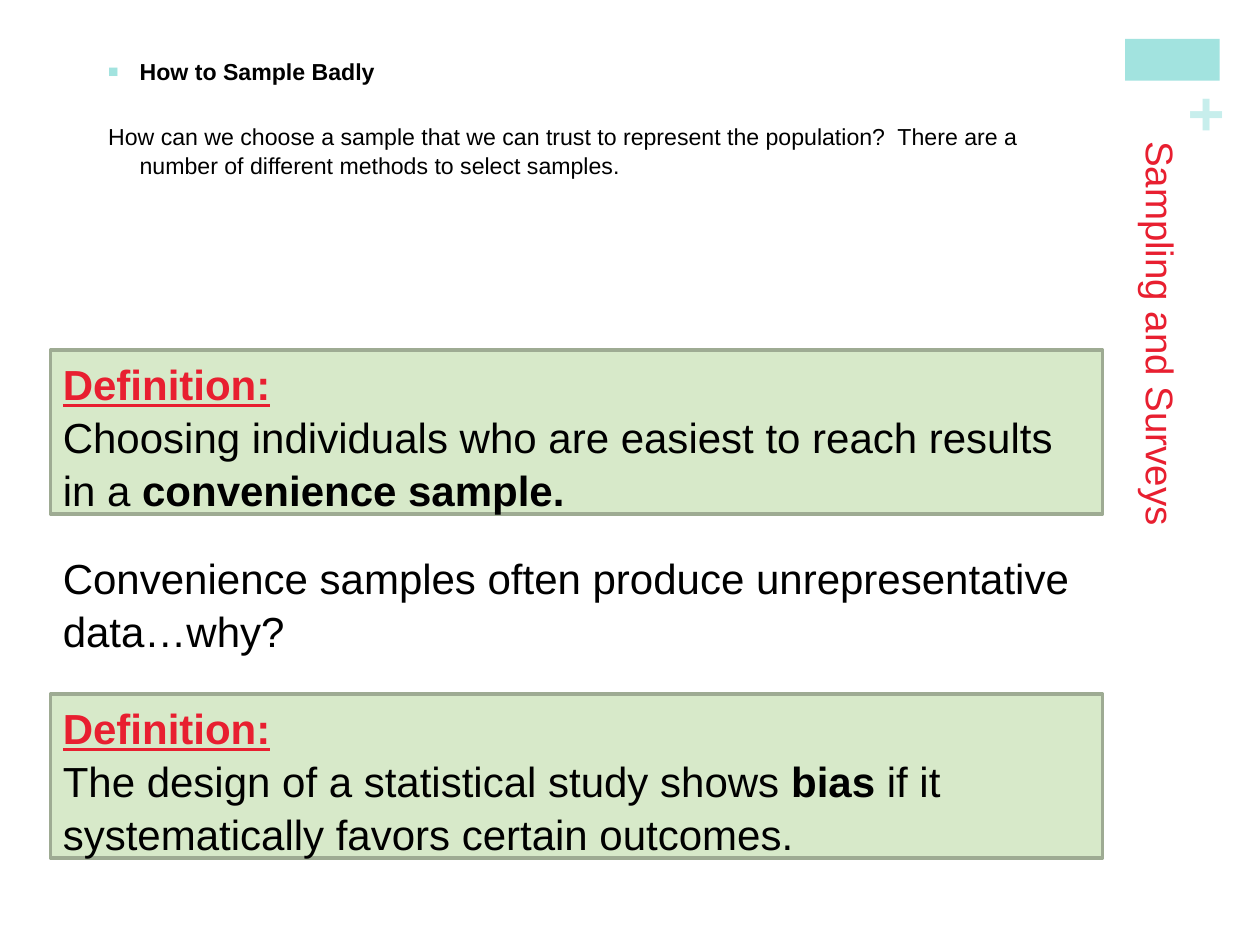
from pptx import Presentation
from pptx.dml.color import RGBColor
from pptx.enum.shapes import MSO_SHAPE
from pptx.enum.text import MSO_ANCHOR, PP_ALIGN
from pptx.oxml import parse_xml
from pptx.oxml.ns import nsdecls
from pptx.util import Inches, Pt

RECTANGLE = MSO_SHAPE.RECTANGLE
TOP = MSO_ANCHOR.TOP
LEFT, CENTER = PP_ALIGN.LEFT, PP_ALIGN.CENTER


class Theme:
    font = "Arial"
    accent, accent_light = "A2E3DF", "C7EEEC"
    red, black = "E81F30", "000000"
    panel, panel_line = "D7E9C9", "9EAB93"
    plus_size, statement_size, title_size, body_size = 36, 24, 22, 13.2
    line_spacing = 1.05


def rgb(color):
    return RGBColor.from_string(color)


def set_frame(shape, margins=(0.1, 0.05, 0.1, 0.05), wrap=True):
    """Prepare a text frame; margins are left, top, right, bottom in inches."""
    frame = shape.text_frame
    left, top, right, bottom = (Inches(margin) for margin in margins)
    settings = {"margin_left": left, "margin_top": top, "margin_right": right,
                "margin_bottom": bottom, "word_wrap": wrap,
                "vertical_anchor": TOP}
    for name, value in settings.items():
        setattr(frame, name, value)
    return frame


def add_text_box(slide, box, **frame_settings):
    shape = slide.shapes.add_textbox(*map(Inches, box))
    return shape, set_frame(shape, **frame_settings)


def add_rectangle(slide, box, fill, line=None):
    shape = slide.shapes.add_shape(RECTANGLE, *map(Inches, box))
    shape.shadow.inherit = False
    shape.fill.solid()
    shape.fill.fore_color.rgb = rgb(fill)
    if line:
        shape.line.color.rgb = rgb(line)
        shape.line.width = Pt(2)
    else:
        shape.line.fill.background()
    return shape


def write_runs(paragraph, runs, size, color=Theme.black, align=LEFT):
    """Write (text, font settings) pairs into one paragraph."""
    paragraph.alignment = align
    for text, settings in runs:
        run = paragraph.add_run()
        run.text = text
        run.font.color.rgb = rgb(color)
        values = {"name": Theme.font, "size": Pt(size), **settings}
        for name, value in values.items():
            setattr(run.font, name, value)


def set_hanging_indent(paragraph, bullet):
    properties = paragraph._p.get_or_add_pPr()
    properties.set("marL", str(Inches(0.25)))
    properties.set("indent", str(Inches(-0.25)))
    if bullet:
        for element in (
            f'<a:buClr {nsdecls("a")}><a:srgbClr val="{Theme.accent}"/></a:buClr>',
            f'<a:buSzPct {nsdecls("a")} val="75000"/>',
            f'<a:buFont {nsdecls("a")} typeface="{Theme.font}"/>',
            f'<a:buChar {nsdecls("a")} char="■"/>',
        ):
            properties.append(parse_xml(element))


def add_corner_mark(slide, box):
    """Accent block with a plus sign below its right end."""
    left, top, width, height = box
    add_rectangle(slide, box, Theme.accent)
    plus_box = (left + width - 0.28, top + height - 0.02, 0.28, 0.6)
    shape, frame = add_text_box(slide, plus_box, margins=(0, 0, 0, 0))
    shape.rotation = 270
    write_runs(frame.paragraphs[0], [("+", {"bold": True})],
               Theme.plus_size, Theme.accent_light)


def add_vertical_title(slide, box, text):
    shape, frame = add_text_box(slide, box, margins=(0.08,) * 4)
    frame._txBody.bodyPr.set("vert", "eaVert")
    write_runs(frame.paragraphs[0], [(text, {})],
               Theme.title_size, Theme.red, CENTER)


def add_introduction(slide, box, heading, question):
    shape, frame = add_text_box(slide, box)
    first, second = frame.paragraphs[0], frame.add_paragraph()
    set_hanging_indent(first, bullet=True)
    set_hanging_indent(second, bullet=False)
    second.space_before = Pt(20)
    second.line_spacing = Theme.line_spacing
    write_runs(first, [(heading, {"bold": True})], Theme.body_size)
    write_runs(second, [(question, {})], Theme.body_size)


def add_definition(slide, box, runs):
    panel = add_rectangle(slide, box, Theme.panel, Theme.panel_line)
    frame = set_frame(panel)
    heading, statement = frame.paragraphs[0], frame.add_paragraph()
    for paragraph in (heading, statement):
        paragraph.line_spacing = Theme.line_spacing
    write_runs(heading, [("Definition:", {"bold": True, "underline": True})],
               Theme.statement_size, Theme.red)
    write_runs(statement, runs, Theme.statement_size)


def add_remark(slide, box, text):
    shape, frame = add_text_box(slide, box)
    frame.paragraphs[0].line_spacing = Theme.line_spacing
    write_runs(frame.paragraphs[0], [(text, {})], Theme.statement_size)


def main():
    presentation = Presentation()
    presentation.slide_width = Inches(10)
    presentation.slide_height = Inches(7.5)
    slide = presentation.slides.add_slide(presentation.slide_layouts[6])

    # Right-hand column
    add_corner_mark(slide, (8.93, 0.31, 0.75, 0.33))
    add_vertical_title(slide, (8.74, 1.04, 0.74, 5.66), "Sampling and Surveys")

    # Introduction
    add_introduction(
        slide, (0.76, 0.41, 7.98, 2.38), "How to Sample Badly",
        "How can we choose a sample that we can trust to represent the "
        "population?  There are a number of different methods to select samples.")

    # Definitions with a remark between them
    left, width = 0.4, 8.35
    bold = {"bold": True}
    add_definition(slide, (left, 2.78, width, 1.3), [
        ("Choosing individuals who are easiest to reach results in a ", {}),
        ("convenience sample.", bold)])
    add_definition(slide, (left, 5.51, width, 1.3), [
        ("The design of a statistical study shows ", {}),
        ("bias ", bold),
        ("if it systematically favors certain outcomes.", {})])
    add_remark(slide, (left, 4.32, width, 0.9),
               "Convenience samples often produce unrepresentative data…why?")

    presentation.save("out.pptx")


if __name__ == "__main__":
    main()
